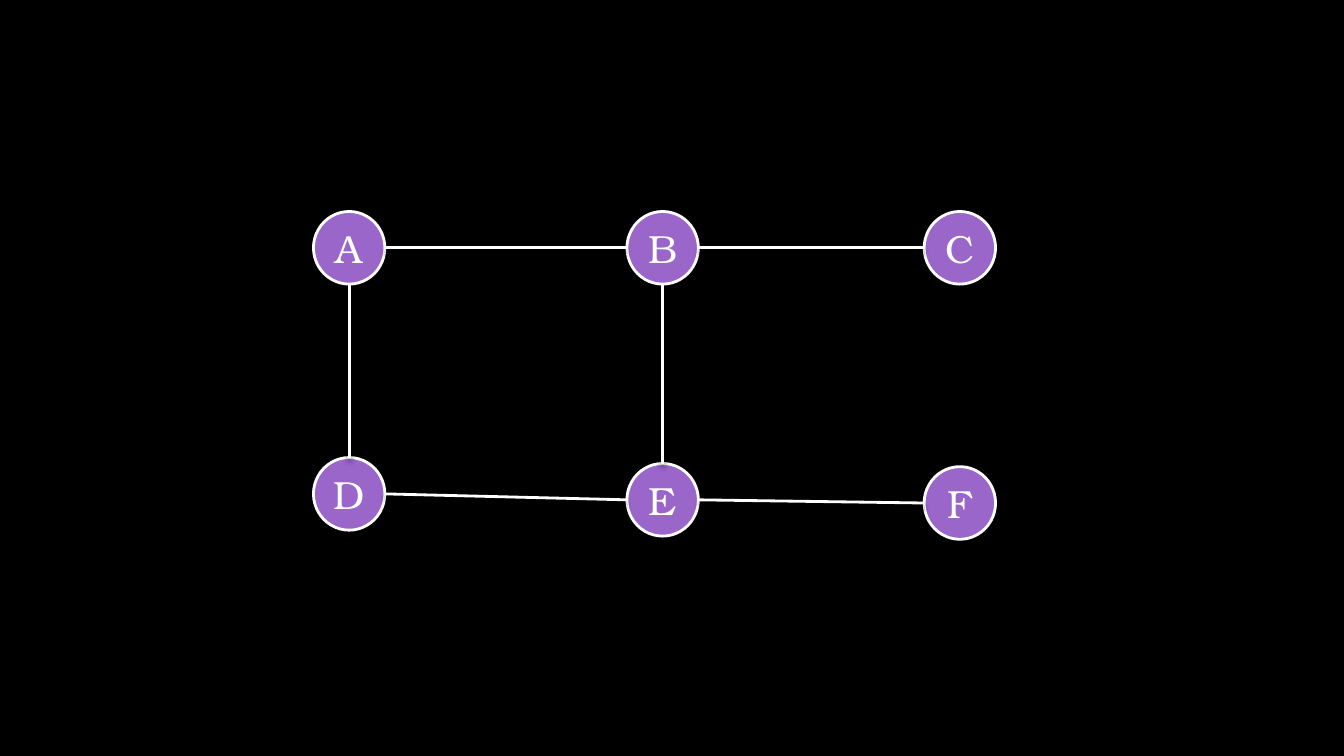
from lxml.etree import SubElement
from pptx import Presentation
from pptx.dml.color import RGBColor
from pptx.enum.shapes import MSO_CONNECTOR, MSO_SHAPE
from pptx.enum.text import MSO_ANCHOR, PP_ALIGN
from pptx.oxml.ns import qn
from pptx.util import Cm, Pt

COLORS = {"background": "000000", "node": "9A66CA", "line": "FFFFFF", "shadow": "000000"}
FONT = "TeX Gyre Bonum"
NODE_WIDTH, NODE_HEIGHT = 1.8, 1.83

# Node offsets from the top left of the graph, in cm
NODES = {
    "A": (0, 0), "B": (7.9, 0), "C": (15.39, 0),
    "D": (0, 6.2), "E": (7.9, 6.35), "F": (15.39, 6.43),
}
ACROSS = ["AB", "BC", "DE", "EF"]
DOWN = ["AD", "BE"]


def color(name):
    return RGBColor.from_string(COLORS[name])


def style_line(line):
    line.color.rgb = color("line")
    line.width = Pt(2)


def add_node(slide, label, left, top):
    shape = slide.shapes.add_shape(
        MSO_SHAPE.OVAL, Cm(left), Cm(top), Cm(NODE_WIDTH), Cm(NODE_HEIGHT))
    shape.shadow.inherit = False
    shape.fill.solid()
    shape.fill.fore_color.rgb = color("node")
    style_line(shape.line)

    text_frame = shape.text_frame
    text_frame.text = label
    text_frame.word_wrap = False
    text_frame.vertical_anchor = MSO_ANCHOR.MIDDLE
    text_frame.margin_left = text_frame.margin_right = 0
    text_frame.margin_top = text_frame.margin_bottom = 0
    paragraph = text_frame.paragraphs[0]
    paragraph.alignment = PP_ALIGN.CENTER
    font = paragraph.runs[0].font
    font.name = FONT
    font.size = Pt(28)
    font.color.rgb = color("line")
    return shape


def add_edge(slide, start, end):
    connector = slide.shapes.add_connector(MSO_CONNECTOR.STRAIGHT, *start, *end)
    style_line(connector.line)

    # Soft shadow straight below the line
    effects = SubElement(connector._element.spPr, qn("a:effectLst"))
    shadow = SubElement(effects, qn("a:outerShdw"), blurRad=str(Pt(4)),
                        dist=str(Pt(3)), dir="5400000", rotWithShape="0")
    shade = SubElement(shadow, qn("a:srgbClr"), val=COLORS["shadow"])
    SubElement(shade, qn("a:alpha"), val="54000")


def add_graph(slide, left, top):
    nodes = {label: add_node(slide, label, left + x, top + y)
             for label, (x, y) in NODES.items()}

    # Edges from right side to left side
    for first, second in ACROSS:
        start, end = nodes[first], nodes[second]
        add_edge(slide,
                 (start.left + start.width, start.top + start.height // 2),
                 (end.left, end.top + end.height // 2))

    # Edges from bottom to top
    for first, second in DOWN:
        start, end = nodes[first], nodes[second]
        add_edge(slide,
                 (start.left + start.width // 2, start.top + start.height),
                 (end.left + end.width // 2, end.top))


def main():
    presentation = Presentation()
    presentation.slide_width = Cm(33.87)
    presentation.slide_height = Cm(19.05)
    slide = presentation.slides.add_slide(presentation.slide_layouts[6])
    slide.background.fill.solid()
    slide.background.fill.fore_color.rgb = color("background")
    add_graph(slide, left=7.9, top=5.33)
    presentation.save("out.pptx")


if __name__ == "__main__":
    main()
